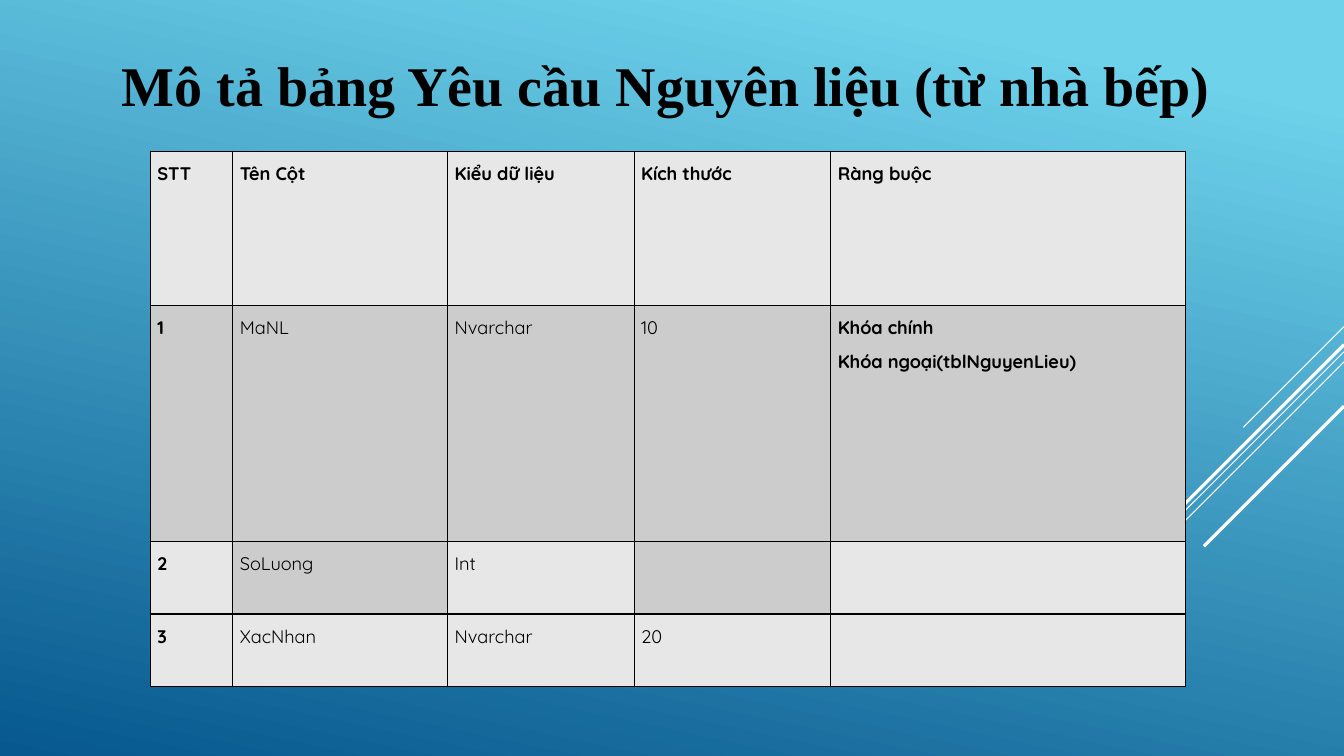
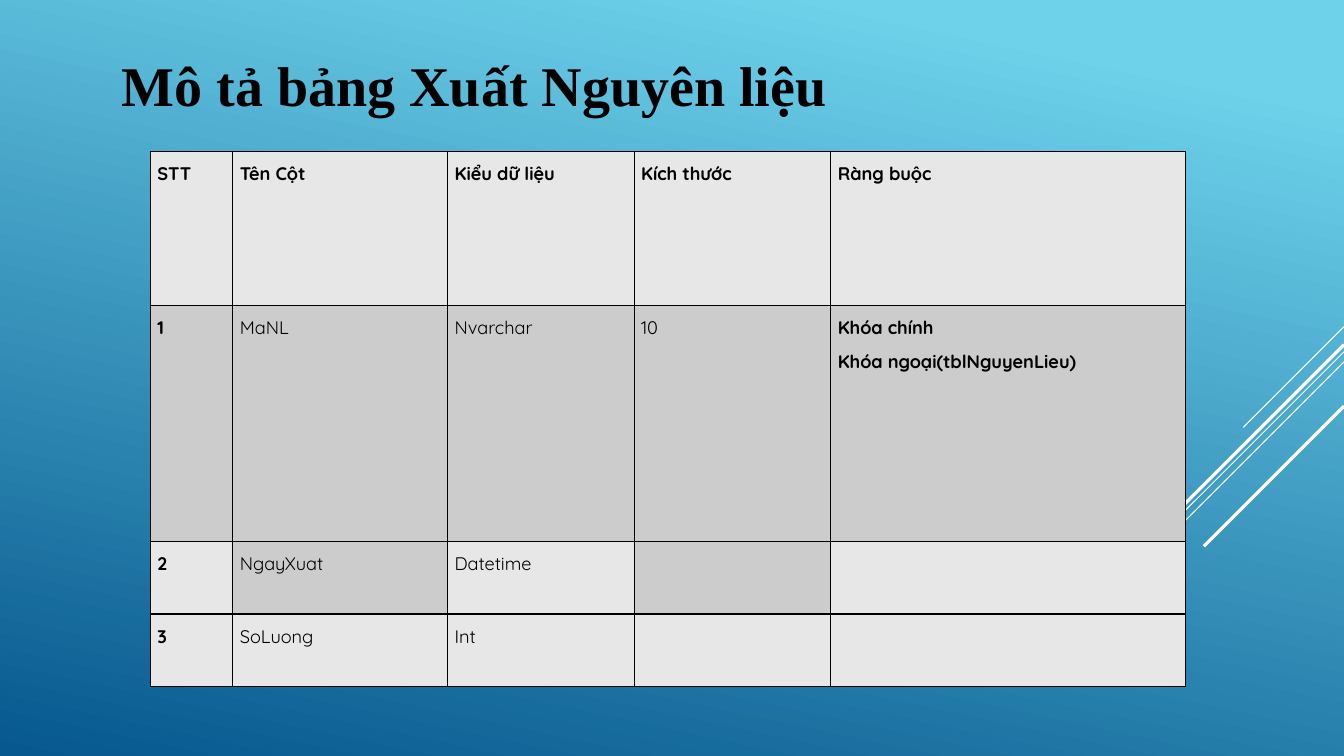
from pptx import Presentation
from pptx.dml.color import RGBColor
from pptx.enum.text import MSO_ANCHOR, MSO_AUTO_SIZE, PP_ALIGN
from pptx.oxml.ns import qn
from pptx.util import Inches, Pt
from lxml import etree

TOP = MSO_ANCHOR.TOP
GROW = MSO_AUTO_SIZE.SHAPE_TO_FIT_TEXT
LEFT, JUSTIFY = PP_ALIGN.LEFT, PP_ALIGN.JUSTIFY
TITLE_ONLY = 5

WIDTH, HEIGHT = 13.33, 7.5
BLACK, WHITE = "000000", "FFFFFF"
SKY, NAVY = "6ED2EB", "06588E"
LIGHT, DARK = "E7E7E7", "CCCCCC"

# Diagonal rays: start height on the right edge, run, line width
RAYS = [(3.24, 1, 0.75), (3.49, 3.26, 0.75), (3.59, 2.07, 0.75),
        (3.42, 1.91, 2.25), (4.03, 1.39, 2.25)]

COLS = [0.82, 2.13, 1.85, 1.95, 3.52]
ROWS = [1.53, 2.34, 0.72, 0.72]
SHADES = ["LLLLL", "DDDDD", "LDLDL", "LLLLL"]

HEAD = ["STT", "Tên Cột", "Kiểu dữ liệu", "Kích thước", "Ràng buộc"]
KEY = ["1", "MaNL", "Nvarchar", "10", "Khóa chính\nKhóa ngoại(tblNguyenLieu)"]
PAGES = [
    ("Mô tả bảng Yêu cầu Nguyên liệu (từ nhà bếp)", 11.24,
     [["2", "SoLuong", "Int", "", ""],
      ["3", "XacNhan", "Nvarchar", "20", ""]]),
    ("Mô tả bảng Xuất Nguyên liệu", 7.26,
     [["2", "NgayXuat", "Datetime", "", ""],
      ["3", "SoLuong", "Int", "", ""]]),
]


def color(code):
    return RGBColor.from_string(code)


class Deck:
    def __init__(self):
        self.prs = Presentation()
        self.prs.slide_width = Inches(WIDTH)
        self.prs.slide_height = Inches(HEIGHT)
        self.slide = None
        fill = self.prs.slide_master.background.fill
        fill.gradient()
        fill.gradient_angle = 258
        for stop, spot, code in zip(fill.gradient_stops, (0.1, 1), (SKY, NAVY)):
            stop.position = spot
            stop.color.rgb = color(code)

    def page(self, title, width):
        """Start a slide with its rays and title."""
        layout = self.prs.slide_layouts[TITLE_ONLY]
        self.slide = self.prs.slides.add_slide(layout)
        for y, run, weight in RAYS:
            self.ray(y, run, weight)
        self.title(title, width)

    def ray(self, y, run, weight):
        """Draw a line down and left at 45 degrees from the right edge."""
        line = self.slide.shapes.add_connector(
            1, Inches(WIDTH), Inches(y), Inches(WIDTH - run), Inches(y + run))
        line.line.color.rgb = color(WHITE)
        line.line.width = Pt(weight)
        etree.SubElement(line._element.spPr, qn("a:effectLst"))

    def title(self, text, width):
        box = self.slide.shapes.title
        box.left, box.top = Inches(1.11), Inches(0.45)
        box.width, box.height = Inches(width), Inches(0.77)
        frame = box.text_frame
        frame.text = text
        frame.word_wrap = False
        frame.auto_size = GROW
        frame.vertical_anchor = TOP
        para = frame.paragraphs[0]
        para.alignment = LEFT
        self.style(para, "Times New Roman", 40, True)

    def style(self, para, name, size, bold):
        for run in para.runs:
            font = run.font
            font.name, font.size, font.bold = name, Pt(size), bold
            font.color.rgb = color(BLACK)

    def table(self, rows):
        table = self.slide.shapes.add_table(
            len(ROWS), len(COLS), Inches(1.49), Inches(1.5),
            Inches(sum(COLS)), Inches(sum(ROWS))).table
        table.first_row = table.horz_banding = False
        for col, width in zip(table.columns, COLS):
            col.width = Inches(width)
        for row, height in zip(table.rows, ROWS):
            row.height = Inches(height)
        last = len(ROWS) - 1
        for r, texts in enumerate(rows):
            for c, text in enumerate(texts):
                bold = r == 0 or c in (0, len(COLS) - 1)
                shade = DARK if SHADES[r][c] == "D" else LIGHT
                top = 2 if r == last else 1
                self.cell(table.cell(r, c), text, bold, shade, top)

    def cell(self, cell, text, bold, shade, top):
        self.border(cell, top)
        cell.fill.solid()
        cell.fill.fore_color.rgb = color(shade)
        cell.margin_left = cell.margin_right = Inches(0.07)
        cell.margin_top = cell.margin_bottom = 0
        cell.text_frame.text = text
        for para in cell.text_frame.paragraphs:
            para.alignment = JUSTIFY
            para.line_spacing = 1.5
            self.style(para, "Quicksand", 13, bold)

    def border(self, cell, top):
        """Add black edges; top is the width of the upper one in points."""
        props = cell._tc.get_or_add_tcPr()
        for side, weight in (("L", 1), ("R", 1), ("T", top), ("B", 1)):
            edge = etree.SubElement(props, qn("a:ln" + side), w=str(Pt(weight)))
            fill = etree.SubElement(edge, qn("a:solidFill"))
            etree.SubElement(fill, qn("a:srgbClr"), val=BLACK)


def main():
    deck = Deck()
    for title, width, rows in PAGES:
        deck.page(title, width)
        deck.table([HEAD, KEY] + rows)
    deck.prs.save("out.pptx")


if __name__ == "__main__":
    main()
